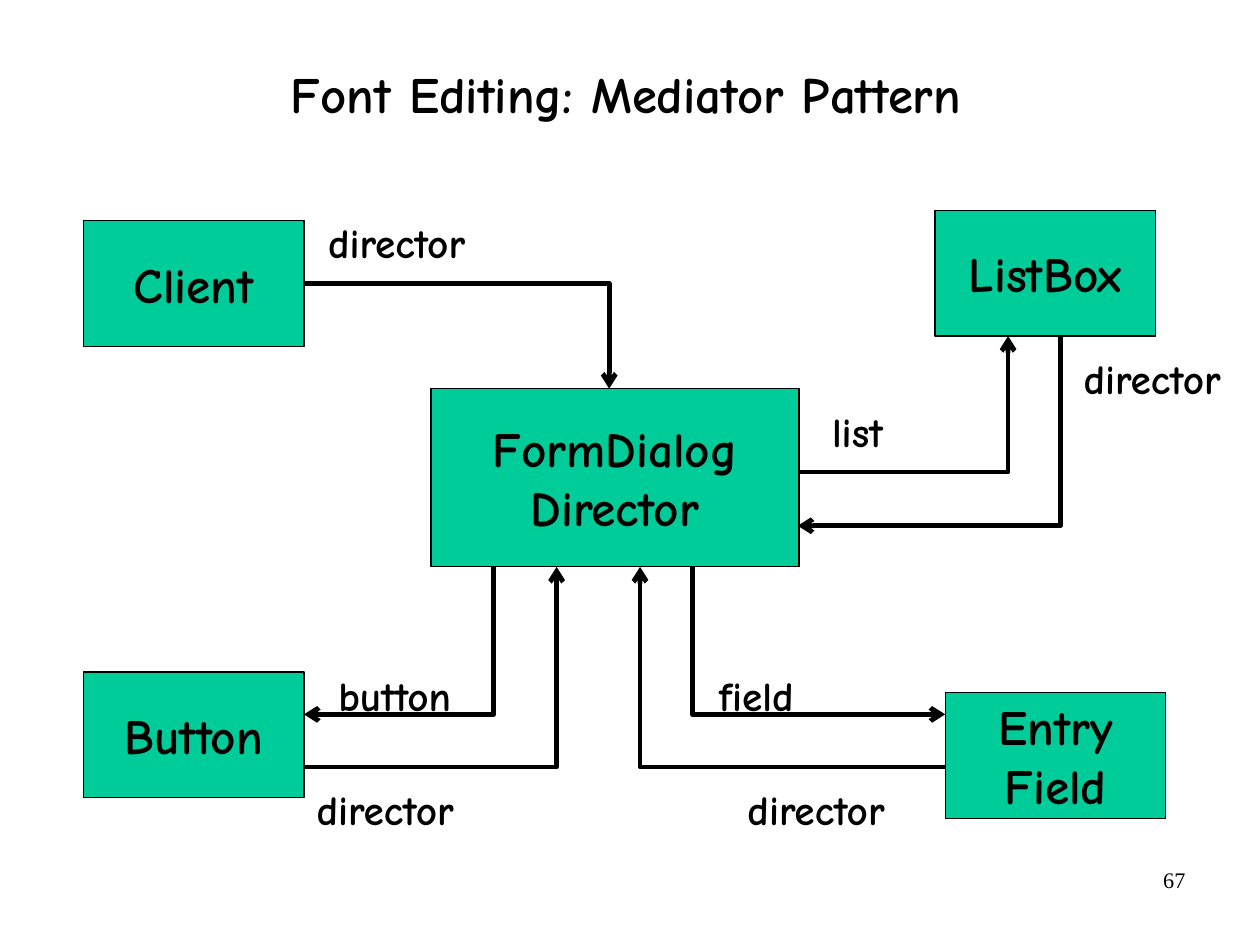
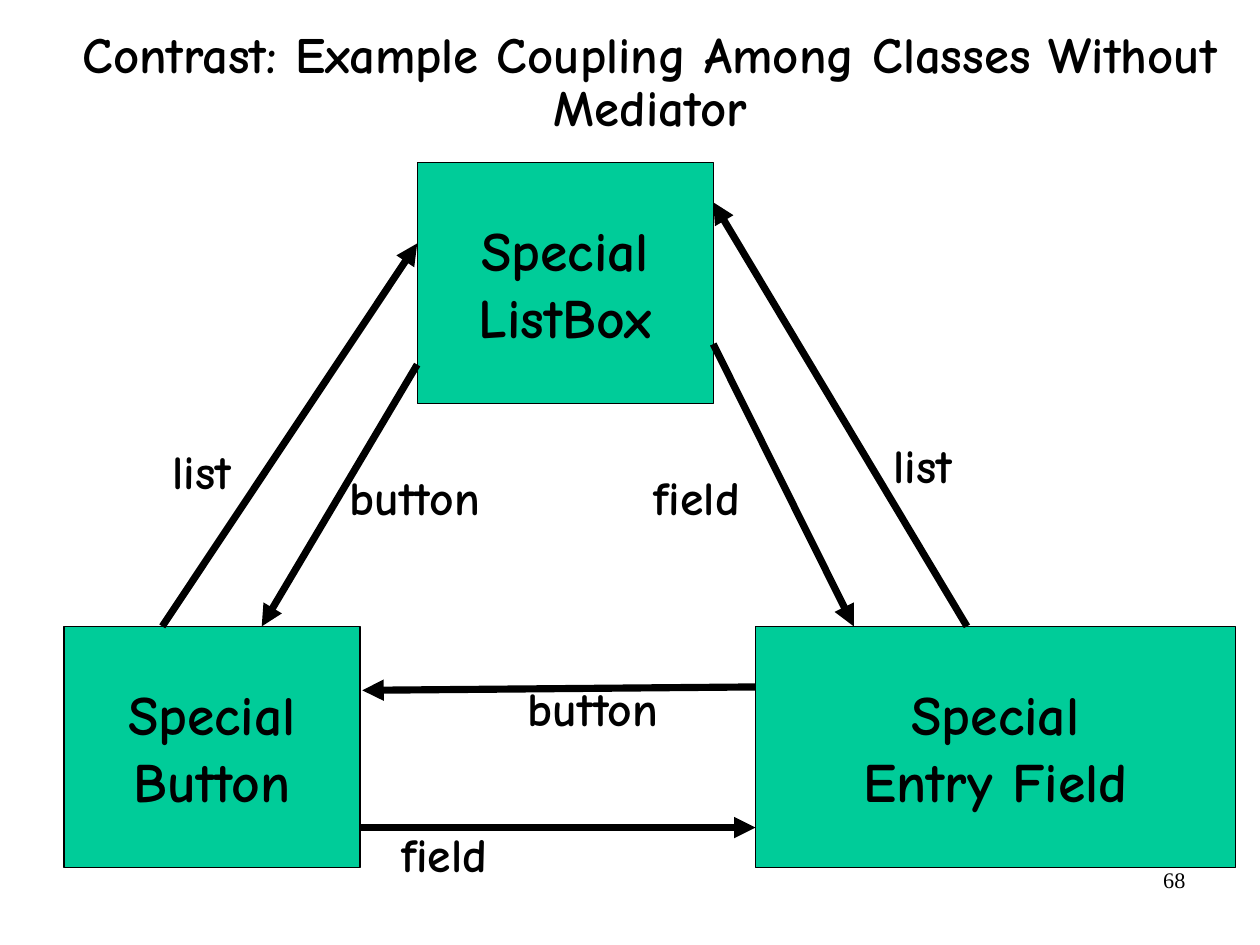
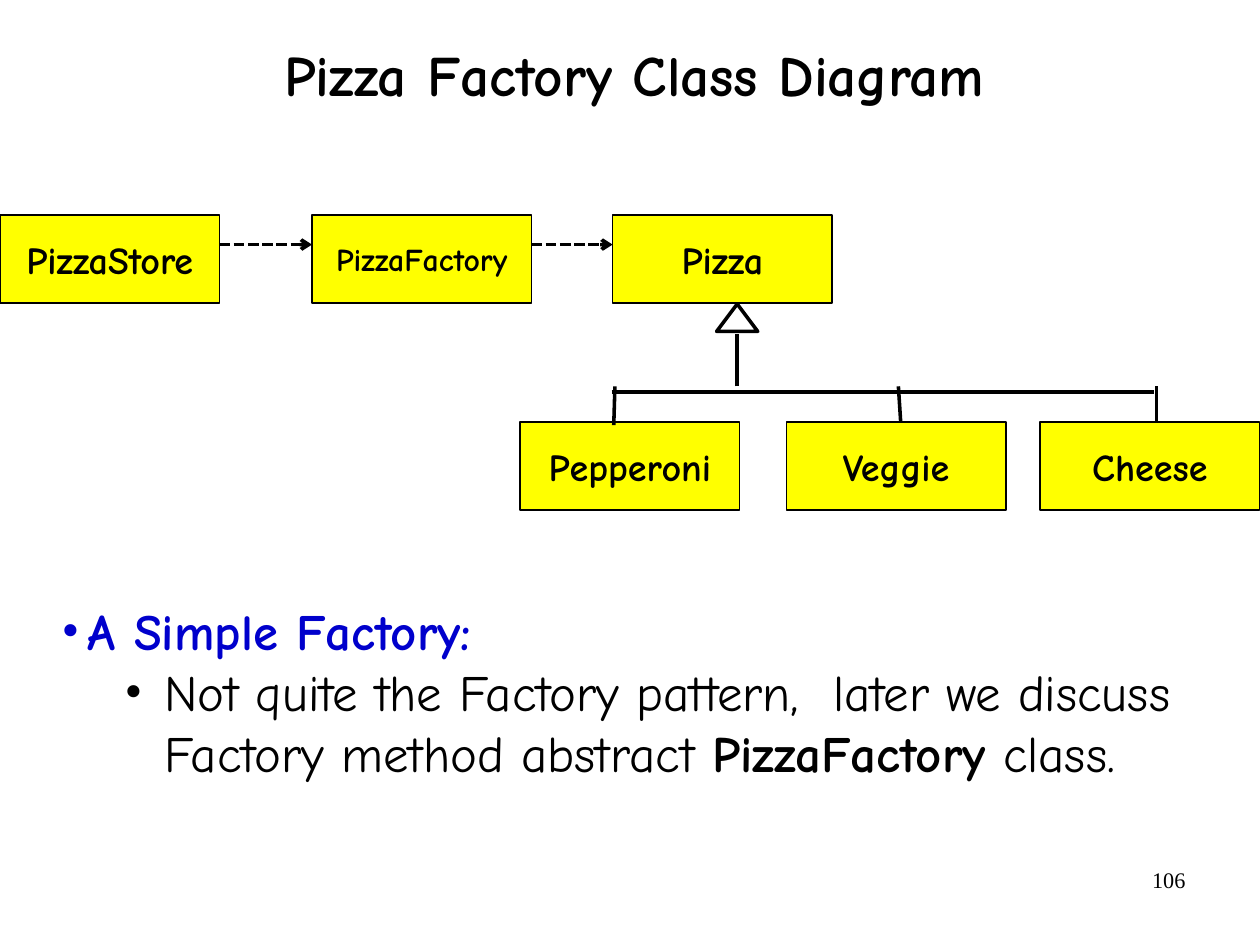
from dataclasses import dataclass
from typing import Optional

from lxml.etree import SubElement
from pptx import Presentation
from pptx.dml.color import RGBColor
from pptx.enum.dml import MSO_LINE
from pptx.enum.shapes import MSO_CONNECTOR, MSO_SHAPE
from pptx.enum.text import MSO_ANCHOR, MSO_AUTO_SIZE, PP_ALIGN
from pptx.oxml.ns import qn
from pptx.util import Inches, Pt

# Shared style; the page is 28 by 21 cm
PAGE_W, PAGE_H = 28 / 2.54, 21 / 2.54
FONT, NUMBER_FONT = "Comic Neue", "Times New Roman"
BLACK, WHITE, BLUE = "000000", "FFFFFF", "0000CC"
GREEN, YELLOW = "00CC99", "FFFF00"
INSET_X, INSET_Y = 0.11, 0.06
Point = tuple[float, float]


@dataclass
class Box:
    text: str
    x: float
    y: float
    w: float
    h: float
    size: float
    fill: str = GREEN
    border: float = 0.75


@dataclass
class Label:
    text: str
    x: float
    y: float
    w: float


@dataclass
class Line:
    start: Point
    end: Point
    width: float = 2.25
    head: Optional[str] = None
    dashed: bool = False


def rgb(color: str) -> RGBColor:
    return RGBColor.from_string(color)


def style_run(r, size: float, color: str = BLACK, bold: bool = True, name: str = FONT) -> None:
    r.font.name, r.font.size, r.font.bold = name, Pt(size), bold
    r.font.color.rgb = rgb(color)


def style_line(s, width: float, head: Optional[str] = None, dashed: bool = False) -> None:
    s.line.color.rgb = rgb(BLACK)
    s.line.width = Pt(width)
    if dashed:
        s.line.dash_style = MSO_LINE.SQUARE_DOT
    if head:
        SubElement(s.line._get_or_add_ln(), qn("a:tailEnd"), type=head)


def set_insets(tf, x: float = INSET_X, y: float = INSET_Y) -> None:
    tf.margin_left = tf.margin_right = Inches(x)
    tf.margin_top = tf.margin_bottom = Inches(y)


def add_text(slide, x: float, y: float, w: float, h: float, wrap: bool = True):
    s = slide.shapes.add_textbox(Inches(x), Inches(y), Inches(w), Inches(h))
    tf = s.text_frame
    tf.word_wrap = wrap
    set_insets(tf)
    return tf


def add_title(slide, text: str, x: float, y: float, w: float, size: float) -> None:
    tf = add_text(slide, x, y, w, 1.37)
    set_insets(tf, 0, 0)
    tf.vertical_anchor = MSO_ANCHOR.MIDDLE
    tf.text = text
    p = tf.paragraphs[0]
    p.alignment, p.line_spacing = PP_ALIGN.CENTER, 0.88
    style_run(p.runs[0], size)


def add_number(slide, number: int) -> None:
    tf = add_text(slide, 7.9, 7.53, 2.57, 0.57)
    set_insets(tf, 0.1, 0.05)
    tf.text = str(number)
    p = tf.paragraphs[0]
    p.alignment = PP_ALIGN.RIGHT
    style_run(p.runs[0], 14, bold=False, name=NUMBER_FONT)


def add_preset(slide, kind, x: float, y: float, w: float, h: float, fill: str, border: float):
    s = slide.shapes.add_shape(kind, Inches(x), Inches(y), Inches(w), Inches(h))
    s.shadow.inherit = False
    s.fill.solid()
    s.fill.fore_color.rgb = rgb(fill)
    style_line(s, border)
    return s


def add_box(slide, box: Box) -> None:
    s = add_preset(slide, MSO_SHAPE.RECTANGLE, box.x, box.y, box.w, box.h, box.fill, box.border)
    tf = s.text_frame
    tf.word_wrap = False
    tf.vertical_anchor = MSO_ANCHOR.MIDDLE
    set_insets(tf)
    tf.text = box.text
    for p in tf.paragraphs:
        p.alignment = PP_ALIGN.CENTER
        style_run(p.runs[0], box.size)


def add_label(slide, label: Label, size: float, h: float) -> None:
    tf = add_text(slide, label.x, label.y, label.w, h, wrap=False)
    tf.auto_size = MSO_AUTO_SIZE.SHAPE_TO_FIT_TEXT
    tf.text = label.text
    style_run(tf.paragraphs[0].runs[0], size)


def add_line(slide, line: Line) -> None:
    ends = [Inches(v) for v in (*line.start, *line.end)]
    s = slide.shapes.add_connector(MSO_CONNECTOR.STRAIGHT, *ends)
    style_line(s, line.width, line.head, line.dashed)
    SubElement(s._element.spPr, qn("a:effectLst"))


def add_bent_arrow(slide, *corners: Point) -> None:
    points = [(Inches(x), Inches(y)) for x, y in corners]
    builder = slide.shapes.build_freeform(*points[0], scale=1.0)
    builder.add_line_segments(points[1:], close=False)
    s = builder.convert_to_shape()
    s.shadow.inherit = False
    s.fill.background()
    style_line(s, 3, "arrow")


def add_bullet(p, left: float, hanging: float) -> None:
    pPr = p._p.get_or_add_pPr()
    pPr.set("marL", str(Inches(left)))
    pPr.set("indent", str(-Inches(hanging)))
    SubElement(pPr, qn("a:buFont"), typeface=NUMBER_FONT)
    SubElement(pPr, qn("a:buChar"), char="•")


def mediator_slide(slide) -> None:
    add_title(slide, "Font Editing: Mediator Pattern", 0.78, 0.17, 9.4, 32)
    # Classes
    add_box(slide, Box("FormDialog\nDirector", 3.77, 3.4, 3.22, 1.56, 31))
    for text, x, y in (("Client", 0.73, 1.93), ("Button", 0.73, 5.88),
                       ("Entry\nField", 8.27, 6.06), ("ListBox", 8.18, 1.84)):
        add_box(slide, Box(text, x, y, 1.93, 1.1, 31))
    # References
    director_bottom, listbox_bottom = 4.96, 2.94
    add_bent_arrow(slide, (2.66, 2.48), (5.33, 2.48), (5.33, 3.4))
    add_bent_arrow(slide, (6.98, 4.13), (8.82, 4.13), (8.82, listbox_bottom))
    add_bent_arrow(slide, (9.28, listbox_bottom), (9.28, 4.6), (6.98, 4.6))
    for side, outgoing, incoming in ((2.66, 4.32, 4.87), (8.27, 6.06, 5.6)):
        add_bent_arrow(slide, (outgoing, director_bottom), (outgoing, 6.25), (side, 6.25))
        add_bent_arrow(slide, (side, 6.71), (incoming, 6.71), (incoming, director_bottom))
    # Reference names
    labels = [Label("director", x, y, 1.62)
              for x, y in ((2.76, 1.84), (2.66, 6.8), (6.43, 6.8), (9.37, 3.03))]
    labels += [Label("button", 2.85, 5.8, 1.34), Label("field", 6.18, 5.8, 1.02),
               Label("list", 7.17, 3.49, 0.76)]
    for label in labels:
        add_label(slide, label, 26, 0.55)


def coupling_slide(slide) -> None:
    add_title(slide, "Contrast: Example Coupling Among Classes Without Mediator",
              0.35, 0.05, 10.68, 32)
    # Classes
    for text, x, y, w in (("Button", 0.56, 5.48, 2.59), ("Entry Field", 6.61, 5.48, 4.2),
                          ("ListBox", 3.65, 1.42, 2.59)):
        add_box(slide, Box(f"Special\n{text}", x, y, w, 2.11, 35))
    # References
    for start, end in (
        ((1.42, 5.48), (3.65, 2.13)),
        ((3.65, 3.19), (2.29, 5.48)),
        ((3.15, 7.24), (6.61, 7.24)),
        ((6.61, 6.01), (3.17, 6.04)),
        ((6.24, 3.01), (7.47, 5.48)),
        ((8.46, 5.48), (6.24, 1.77)),
    ):
        add_line(slide, Line(start, end, 4.5, "triangle"))
    # Reference names
    for label in (
        Label("list", 1.4, 3.81, 0.83), Label("list", 7.71, 3.75, 0.83),
        Label("button", 2.95, 4.03, 1.47), Label("button", 4.51, 5.88, 1.47),
        Label("field", 5.61, 4.03, 1.11), Label("field", 3.4, 7.16, 1.11),
    ):
        add_label(slide, label, 30, 0.6)


def pizza_slide(slide) -> None:
    add_title(slide, "Pizza Factory Class Diagram", 0.85, 0, 9.4, 36)
    # Classes
    for text, x, y, size in (
        ("PizzaStore", 0, 1.88, 24), ("PizzaFactory", 2.73, 1.88, 20), ("Pizza", 5.36, 1.88, 24),
        ("Pepperoni", 4.55, 3.69, 24), ("Veggie", 6.88, 3.69, 24), ("Cheese", 9.1, 3.69, 24),
    ):
        add_box(slide, Box(text, x, y, 1.92, 0.77, size, YELLOW, 1))
    # Inheritance tree and dependencies
    add_preset(slide, MSO_SHAPE.ISOSCELES_TRIANGLE, 6.27, 2.66, 0.36, 0.24, WHITE, 2.25)
    for line in (
        Line((6.45, 3.38), (6.45, 2.92)),
        Line((5.35, 3.43), (10.1, 3.43)),
        Line((5.38, 3.38), (5.37, 3.72)),
        Line((7.86, 3.38), (7.88, 3.69)),
        Line((10.12, 3.38), (10.12, 3.69)),
        Line((1.92, 2.14), (2.73, 2.14), head="arrow", dashed=True),
        Line((4.65, 2.14), (5.36, 2.14), head="arrow", dashed=True),
    ):
        add_line(slide, line)
    # Explanation
    tf = add_text(slide, 0.43, 5.19, 10.03, 2.87)
    tf.text = "A Simple Factory:"
    p = tf.paragraphs[0]
    add_bullet(p, 0.23, 0.23)
    style_run(p.runs[0], 32, BLUE)
    p = tf.add_paragraph()
    p.level = 1
    add_bullet(p, 0.9, 0.35)
    for text, bold in (
        ("Not quite the Factory pattern,  later we discuss Factory method abstract ", False),
        ("PizzaFactory", True), (" class.", False),
    ):
        r = p.add_run()
        r.text = text
        style_run(r, 32, bold=bold)


def main() -> None:
    prs = Presentation()
    prs.slide_width = Inches(PAGE_W)
    prs.slide_height = Inches(PAGE_H)
    for build, number in ((mediator_slide, 67), (coupling_slide, 68), (pizza_slide, 106)):
        slide = prs.slides.add_slide(prs.slide_layouts[6])
        add_number(slide, number)
        build(slide)
    prs.save("out.pptx")


if __name__ == "__main__":
    main()
